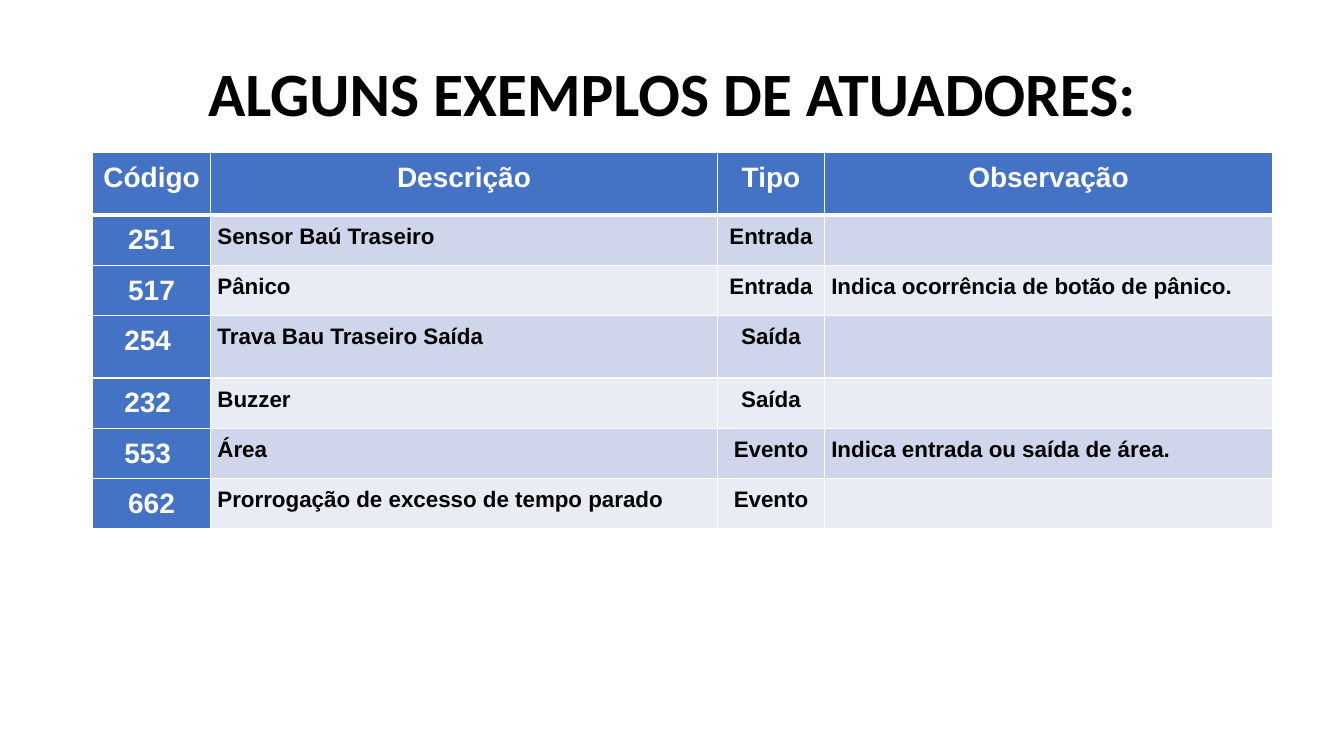
from dataclasses import dataclass

from lxml import etree
from pptx import Presentation
from pptx import util as u
from pptx.dml.color import RGBColor
from pptx.enum import text
from pptx.oxml import ns

BLUE, WHITE, BLACK = "4472C4", "FFFFFF", "000000"
BANDS = ("CFD5EA", "E9EBF5")
LEFT, CENTER = text.PP_ALIGN.LEFT, text.PP_ALIGN.CENTER
INSET = u.Cm(0.18)
COLUMN_WIDTHS = (2.96, 12.79, 2.68, 11.31)
HEADINGS = ("Código", "Descrição", "Tipo", "Observação")
HEADING_HEIGHT = 1.57


@dataclass
class Actuator:
    code: str
    description: str
    kind: str
    note: str = ""
    height: float = 1.2


ACTUATORS = (
    Actuator("251", "Sensor Baú Traseiro", "Entrada", height=1.27),
    Actuator("517", "Pânico", "Entrada", "Indica ocorrência de botão de pânico."),
    Actuator("254 ", "Trava Bau Traseiro Saída", "Saída", height=1.57),
    Actuator("232 ", "Buzzer", "Saída"),
    Actuator("553 ", "Área", "Evento", "Indica entrada ou saída de área."),
    Actuator("662", "Prorrogação de excesso de tempo parado", "Evento"),
)


def color(value: str) -> RGBColor:
    return RGBColor.from_string(value)


def write(frame, words: str, *, size: float, font: str = "Arial", ink: str = BLACK,
          align=LEFT, spacing: float = 1.07, after: float = 8) -> None:
    para = frame.paragraphs[0]
    para.alignment = align
    para.line_spacing = spacing
    para.space_after = u.Pt(after)
    span = para.add_run()
    span.text = words
    span.font.name = font
    span.font.size = u.Pt(size)
    span.font.bold = True
    span.font.color.rgb = color(ink)


def add_borders(cell, top: float, bottom: float) -> None:
    properties = cell._tc.get_or_add_tcPr()
    for side, width in (("L", 1), ("R", 1), ("T", top), ("B", bottom)):
        line = etree.SubElement(properties, ns.qn(f"a:ln{side}"), w=str(u.Pt(width)))
        fill = etree.SubElement(line, ns.qn("a:solidFill"))
        etree.SubElement(fill, ns.qn("a:srgbClr"), val=WHITE)


def fill_cell(cell, words: str, row: int, column: int) -> None:
    heading = row == 0 or column == 0
    add_borders(cell, top=3 if row == 1 else 1, bottom=3 if row == 0 else 1)
    cell.fill.solid()
    cell.fill.fore_color.rgb = color(BLUE if heading else BANDS[(row - 1) % 2])
    cell.margin_left = cell.margin_right = INSET
    cell.margin_top = cell.margin_bottom = INSET
    if words:
        write(cell.text_frame, words, size=20 if heading else 16,
              ink=WHITE if heading else BLACK,
              align=CENTER if heading or column == 2 else LEFT)


def add_title(page) -> None:
    box = page.shapes.add_textbox(u.Cm(2.34), u.Cm(1.02), u.Cm(29.21), u.Cm(2.82))
    frame = box.text_frame
    frame.word_wrap = True
    frame.vertical_anchor = text.MSO_ANCHOR.MIDDLE
    write(frame, "ALGUNS EXEMPLOS DE ATUADORES:", size=44, font="Calibri",
          align=CENTER, spacing=0.9, after=0)


def add_actuator_table(page) -> None:
    rows = [HEADINGS] + [(a.code, a.description, a.kind, a.note) for a in ACTUATORS]
    heights = [HEADING_HEIGHT] + [a.height for a in ACTUATORS]
    table = page.shapes.add_table(
        len(rows), len(HEADINGS), u.Cm(2.34), u.Cm(3.85),
        u.Cm(sum(COLUMN_WIDTHS)), u.Cm(sum(heights))).table
    for column, width in zip(table.columns, COLUMN_WIDTHS):
        column.width = u.Cm(width)
    for row, height in zip(table.rows, heights):
        row.height = u.Cm(height)
    for r, row in enumerate(rows):
        for c, words in enumerate(row):
            fill_cell(table.cell(r, c), words, r, c)


def main() -> None:
    deck = Presentation()
    deck.slide_width, deck.slide_height = u.Cm(33.87), u.Cm(19.05)
    page = deck.slides.add_slide(deck.slide_layouts[6])

    # Title
    add_title(page)

    # Table of actuators
    add_actuator_table(page)

    deck.save("out.pptx")


if __name__ == "__main__":
    main()
